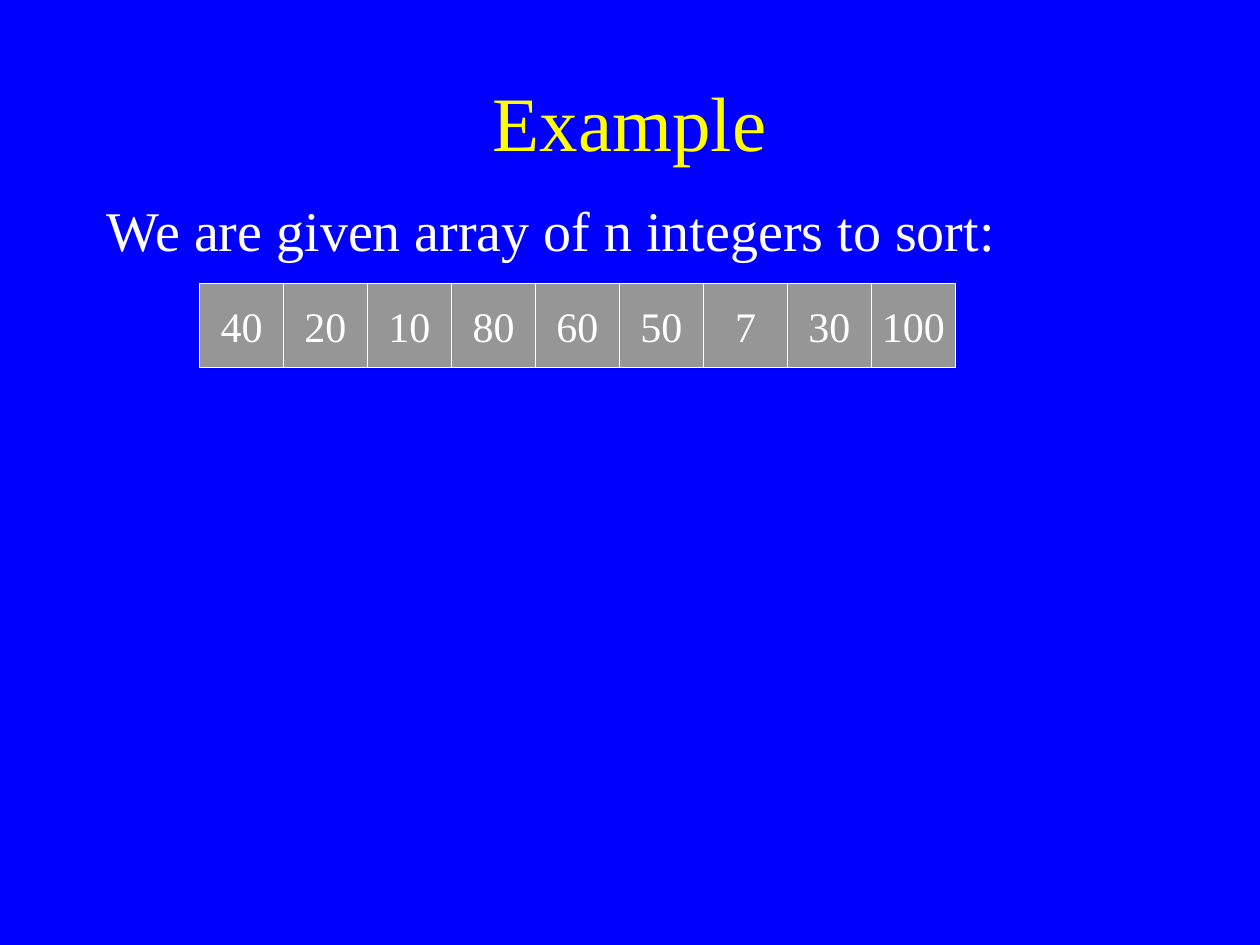
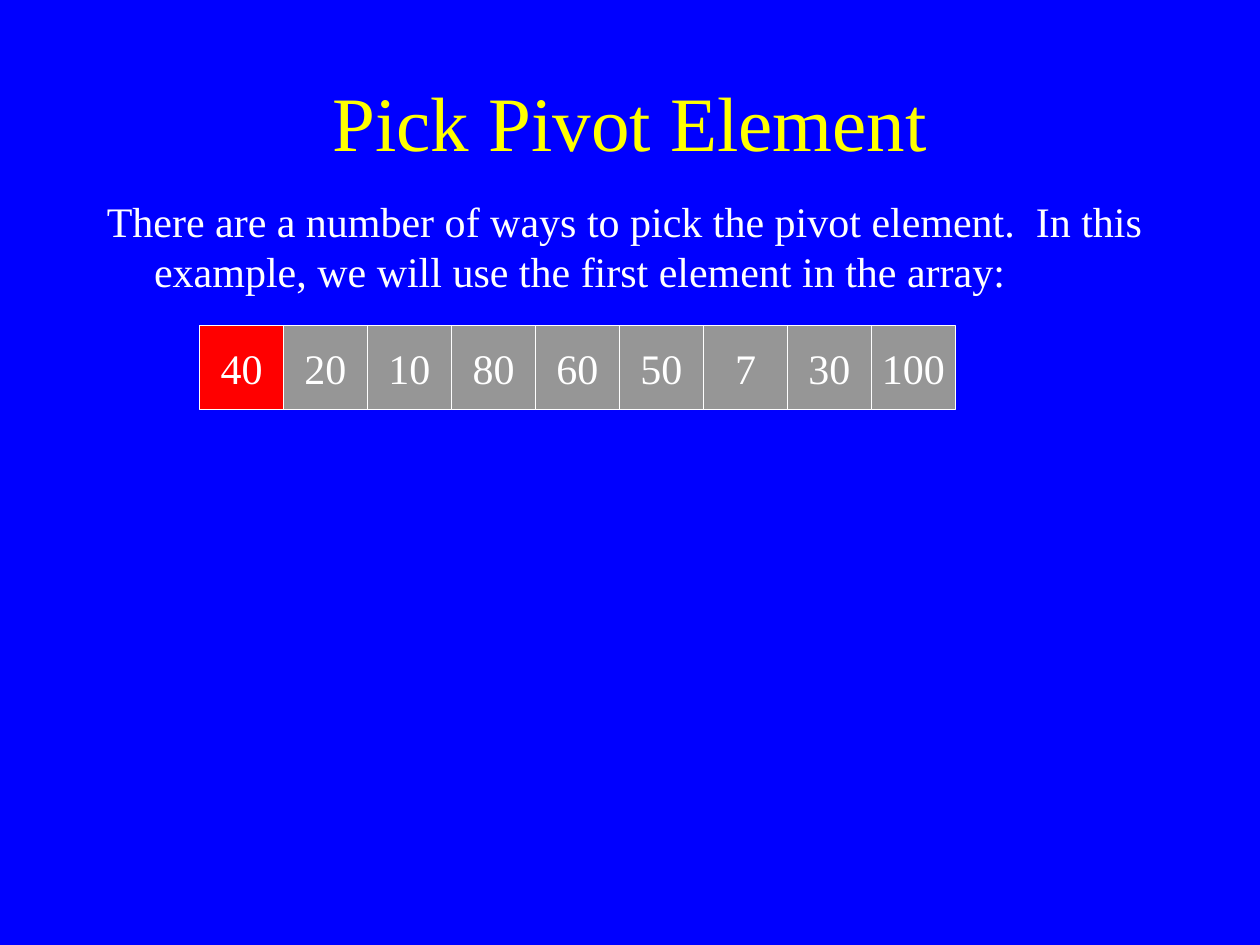
"""Build two slides that introduce an array to sort and its pivot element."""
import pptx
import pptx.dml.color
import pptx.enum.shapes
import pptx.enum.text
import pptx.util

ARRAY = (40, 20, 10, 80, 60, 50, 7, 30, 100)
SLIDES = [
    dict(title="Example", body="We are given array of n integers to sort:",
         size=32, before=8, array_top=216, pivot=None),
    dict(title="Pick Pivot Element",
         body="There are a number of ways to pick the pivot element.  In this example, "
              "we will use the first element in the array:",
         size=24, before=6, array_top=248, pivot=0),
]

BLUE, YELLOW, WHITE, GREY, RED = "0000FF", "FFFF00", "FFFFFF", "969696", "FF0000"
FONT = "Times New Roman"
EMU_PER_PX = 9525
SLIDE_SIZE = 960, 720
TITLE_BOX = 72, 32, 816, 120
BODY_BOX = 72, 144, 816, 432
ARRAY_LEFT, CELL = 152, 64
HANGING = 36

ALIGN = pptx.enum.text.PP_ALIGN
ANCHOR = pptx.enum.text.MSO_ANCHOR


def px(*lengths):
    return [pptx.util.Emu(n * EMU_PER_PX) for n in lengths]


def rgb(value):
    return pptx.dml.color.RGBColor.from_string(value)


def set_all(target, formats):
    for name, value in formats.items():
        setattr(target, name, value)


def paint(fill, color):
    fill.solid()
    fill.fore_color.rgb = rgb(color)


def write(sp, text, size, color, frame, paragraph):
    tf = sp.text_frame
    set_all(tf, frame)
    p = tf.paragraphs[0]
    set_all(p, paragraph)
    r = p.add_run()
    r.text = text
    set_all(r.font, dict(name=FONT, size=pptx.util.Pt(size)))
    r.font.color.rgb = rgb(color)
    return p


def add_title(s, text):
    sp = s.shapes.add_textbox(*px(*TITLE_BOX))
    write(sp, text, 44, YELLOW, dict(word_wrap=True, vertical_anchor=ANCHOR.MIDDLE),
          dict(alignment=ALIGN.CENTER))


def add_body(s, text, size, before):
    sp = s.shapes.add_textbox(*px(*BODY_BOX))
    p = write(sp, text, size, WHITE, dict(word_wrap=True, vertical_anchor=ANCHOR.TOP),
              dict(alignment=ALIGN.LEFT, space_before=pptx.util.Pt(before)))
    margin, = px(HANGING)
    pPr = p._p.get_or_add_pPr()
    pPr.set("marL", str(margin))
    pPr.set("indent", str(-margin))


def add_array(s, top, pivot):
    for i, number in enumerate(ARRAY):
        sp = s.shapes.add_shape(pptx.enum.shapes.MSO_SHAPE.RECTANGLE,
                                *px(ARRAY_LEFT + i * CELL, top, CELL, CELL))
        sp.shadow.inherit = False
        paint(sp.fill, RED if i == pivot else GREY)
        paint(sp.line.fill, WHITE)
        sp.line.width = pptx.util.Pt(0.75)
        write(sp, str(number), 24, WHITE,
              dict(word_wrap=False, vertical_anchor=ANCHOR.MIDDLE),
              dict(alignment=ALIGN.CENTER))


def main():
    prs = pptx.Presentation()
    prs.slide_width, prs.slide_height = px(*SLIDE_SIZE)
    for page in SLIDES:
        s = prs.slides.add_slide(prs.slide_layouts[6])
        paint(s.background.fill, BLUE)
        add_title(s, page["title"])
        add_body(s, page["body"], page["size"], page["before"])
        add_array(s, page["array_top"], page["pivot"])
    prs.save("out.pptx")


if __name__ == "__main__":
    main()
